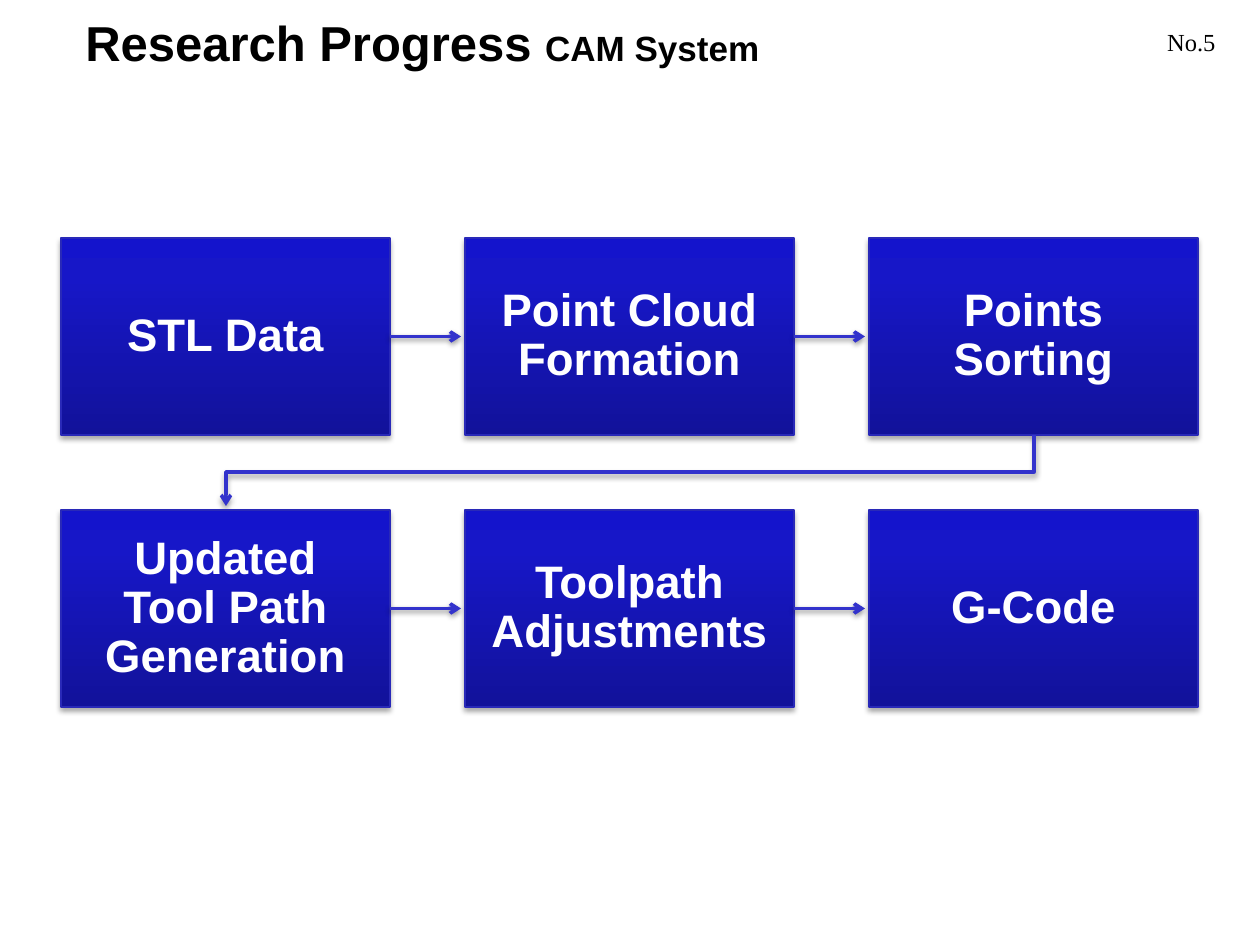
from copy import deepcopy
from dataclasses import dataclass

from lxml.etree import SubElement
from pptx import Presentation
from pptx.dml.color import RGBColor as RGB
from pptx.enum.shapes import MSO_CONNECTOR as CONN, MSO_SHAPE as SHAPE
from pptx.enum.text import MSO_ANCHOR as ANCHOR, PP_ALIGN as ALIGN
from pptx.oxml.ns import qn
from pptx.util import Pt

SCALE = 914400 / 126  # EMU per px


@dataclass(frozen=True)
class Theme:
    sans: str = "Arial"
    serif: str = "Times New Roman"
    black: str = "000000"
    white: str = "FFFFFF"
    arrow: str = "3333CC"
    border: str = "2929B8"
    gradient: tuple = ((0, "12129A"), (0.8, "1717C8"), (1, "1414CC"))
    title: int = 28
    subtitle: int = 20
    step: int = 26
    number: int = 14


T = Theme()
STEPS = [
    ["STL Data", "Point Cloud Formation", "Points Sorting"],
    ["Updated Tool Path Generation", "Toolpath Adjustments", "G-Code"],
]
LEFT, TOP = 61, 238
BOX_W, BOX_H = 329, 197
PITCH_X, PITCH_Y = 404, 272
ARROW_GAP = 4  # space between an arrow tip and the next box
INSET = 25


def px(n):
    return round(n * SCALE)


def set_all(obj, **values):
    for name, value in values.items():
        setattr(obj, name, value)


def add_run(p, text, size, font, color, bold=False):
    r = p.add_run()
    r.text = text
    set_all(r.font, size=Pt(size), name=font, bold=bold)
    r.font.color.rgb = RGB.from_string(color)


def add_textbox(s, box, runs, align=ALIGN.LEFT, anchor=ANCHOR.TOP):
    tf = s.shapes.add_textbox(*map(px, box)).text_frame
    set_all(tf, word_wrap=True, vertical_anchor=anchor)
    p = tf.paragraphs[0]
    p.alignment = align
    for run in runs:
        add_run(p, *run)


def add_shadow(sp, distance, opacity):
    """Add a soft shadow straight below; call after fill and line are set."""
    effects = SubElement(sp._element.spPr, qn("a:effectLst"))
    shadow = SubElement(effects, qn("a:outerShdw"), blurRad=str(Pt(3.1)),
                        dist=str(Pt(distance)), dir="5400000", rotWithShape="0")
    color = SubElement(shadow, qn("a:srgbClr"), val=T.black)
    SubElement(color, qn("a:alpha"), val=str(opacity * 1000))


def set_line(sp, color, width):
    sp.line.color.rgb = RGB.from_string(color)
    sp.line.width = Pt(width)


def style_arrow(sp):
    set_line(sp, T.arrow, 2)
    SubElement(sp.line._get_or_add_ln(), qn("a:tailEnd"), type="arrow")
    add_shadow(sp, 1.6, 38)


def add_arrow(s, x1, x2, y):
    style_arrow(s.shapes.add_connector(CONN.STRAIGHT, *map(px, (x1, y, x2, y))))


def add_elbow_arrow(s, points):
    start, *rest = points
    builder = s.shapes.build_freeform(*start, scale=SCALE)
    builder.add_line_segments(rest, close=False)
    sp = builder.convert_to_shape()
    sp.fill.background()
    style_arrow(sp)


def fill_gradient(sp):
    sp.fill.gradient()
    sp.fill.gradient_angle = 90
    stops = sp._element.spPr.find(qn("a:gradFill")).find(qn("a:gsLst"))
    stops.append(deepcopy(stops[0]))
    for stop, (position, color) in zip(sp.fill.gradient_stops, T.gradient):
        stop.position = position
        stop.color.rgb = RGB.from_string(color)


def add_step(s, x, y, text):
    sp = s.shapes.add_shape(SHAPE.RECTANGLE, *map(px, (x, y, BOX_W, BOX_H)))
    fill_gradient(sp)
    set_line(sp, T.border, 0.75)
    add_shadow(sp, 1.8, 35)
    tf = sp.text_frame
    set_all(tf, word_wrap=True, vertical_anchor=ANCHOR.MIDDLE,
            margin_left=px(INSET), margin_right=px(INSET),
            margin_top=px(INSET), margin_bottom=px(INSET))
    p = tf.paragraphs[0]
    set_all(p, alignment=ALIGN.CENTER, line_spacing=0.9)
    add_run(p, text, T.step, T.sans, T.white, True)


def add_flow(s):
    for row, texts in enumerate(STEPS):
        y = TOP + row * PITCH_Y
        for col, text in enumerate(texts):
            x = LEFT + col * PITCH_X
            if col:
                add_arrow(s, x - PITCH_X + BOX_W, x - ARROW_GAP, y + BOX_H / 2)
            elif row:
                first = x + BOX_W / 2
                last = first + (len(texts) - 1) * PITCH_X
                bottom = y - PITCH_Y + BOX_H
                middle = (bottom + y) / 2
                add_elbow_arrow(s, [(last, bottom), (last, middle),
                                    (first, middle), (first, y - ARROW_GAP)])
            add_step(s, x, y, text)


def main():
    prs = Presentation()
    set_all(prs, slide_width=px(1260), slide_height=px(945))
    s = prs.slides.add_slide(prs.slide_layouts[6])
    add_textbox(s, (966, 21, 262, 63),
                [("No.5", T.number, T.serif, T.black)], ALIGN.RIGHT)
    add_textbox(s, (73, 10, 892, 63),
                [("Research Progress ", T.title, T.sans, T.black, True),
                 ("CAM System", T.subtitle, T.sans, T.black, True)],
                anchor=ANCHOR.MIDDLE)
    add_flow(s)
    prs.save("out.pptx")


if __name__ == "__main__":
    main()
